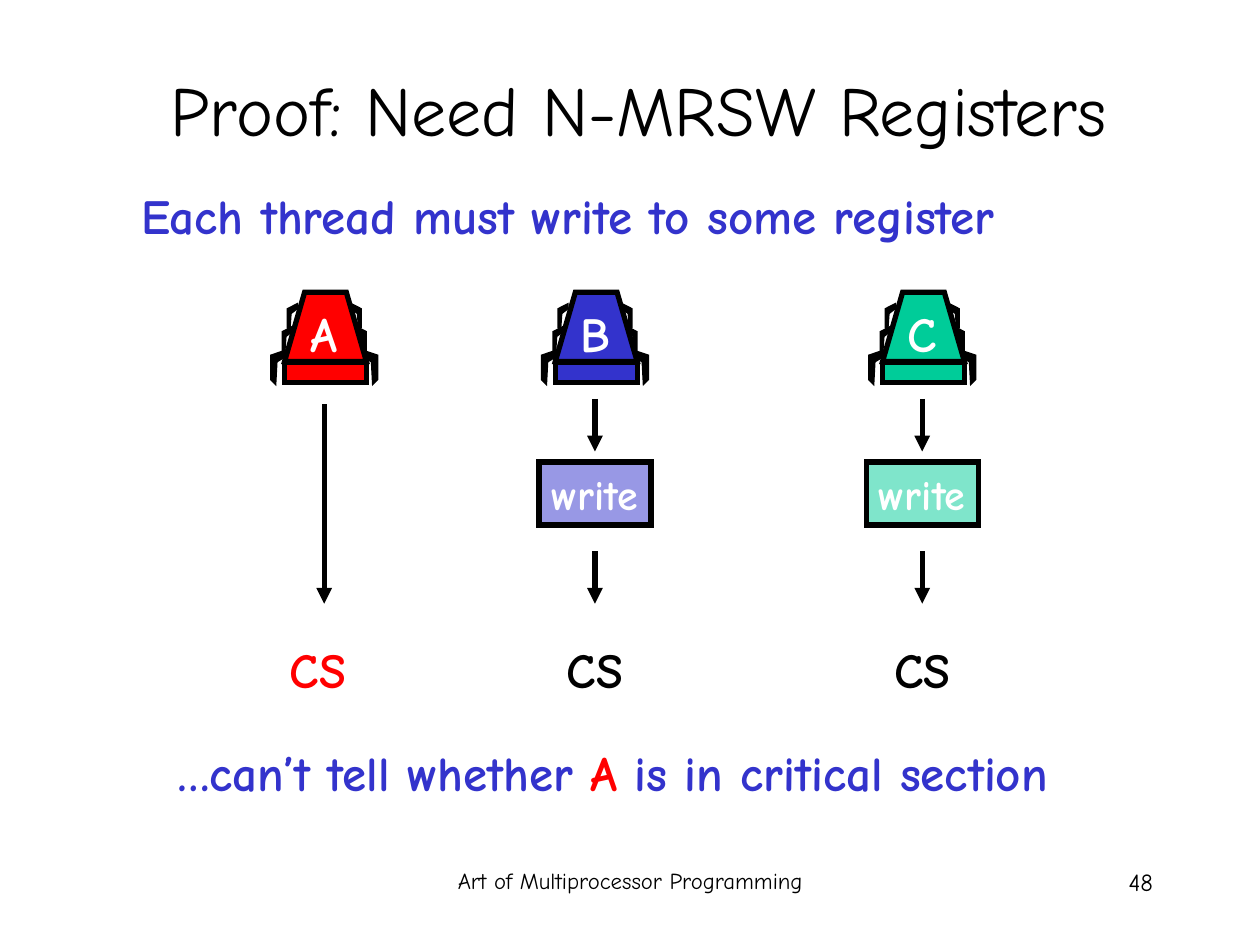
from lxml import etree
from pptx import Presentation
from pptx.dml.color import RGBColor
from pptx.enum.shapes import MSO_CONNECTOR, MSO_SHAPE
from pptx.enum.text import MSO_ANCHOR, MSO_AUTO_SIZE, PP_ALIGN
from pptx.oxml.ns import qn
from pptx.util import Pt

LEFT, CENTER, RIGHT = PP_ALIGN.LEFT, PP_ALIGN.CENTER, PP_ALIGN.RIGHT
TOP, MIDDLE = MSO_ANCHOR.TOP, MSO_ANCHOR.MIDDLE
GROW = MSO_AUTO_SIZE.SHAPE_TO_FIT_TEXT
STRAIGHT = MSO_CONNECTOR.STRAIGHT
RECTANGLE = MSO_SHAPE.RECTANGLE

FONT = "Comic Neue"
BLACK, WHITE = "000000", "FFFFFF"
RED, BLUE, GREEN = "FF0000", "3333CC", "00CC99"
TITLE_ONLY = 5

THREAD_TOP = 167
# Leg outlines run outward from their joint on the right-hand side.
UPPER_LEG = [(0, 0), (5.7, 2.9), (5.7, 13.7), (4.3, 15.8), (3.6, 5.7), (0, 2.9)]
LOWER_LEG = [(0, 0), (10.1, 3.4), (10.1, 17.3), (7.2, 20.2), (6.5, 7.2), (0.7, 3.6)]
LEGS = [(15.4, 6.5, UPPER_LEG), (18.3, 19.6, UPPER_LEG), (20.5, 32.6, LOWER_LEG)]
BODY = [(-22.7, 39.6), (-11.2, 0), (12.6, 0), (24.1, 39.6)]


def rgb(hex_color):
    return RGBColor.from_string(hex_color)


def paint(shape, fill, line_width):
    """Give the shape a solid fill and a black outline with sharp corners."""
    shape.shadow.inherit = False
    shape.fill.solid()
    shape.fill.fore_color.rgb = rgb(fill)
    shape.line.color.rgb = rgb(BLACK)
    shape.line.width = Pt(line_width)
    line = shape.line._get_or_add_ln()
    etree.SubElement(line, qn("a:miter")).set("lim", "800000")


def set_opacity(shape, percent):
    color = shape.fill._xPr.find(qn("a:solidFill"))[0]
    etree.SubElement(color, qn("a:alpha")).set("val", str(percent * 1000))


def write_text(frame, runs, size, align=CENTER, bold=True, wrap=True, anchor=TOP):
    """Fill the frame with one paragraph of (text, color) runs."""
    frame.word_wrap = wrap
    if not wrap:
        frame.auto_size = GROW
    frame.vertical_anchor = anchor
    paragraph = frame.paragraphs[0]
    paragraph.alignment = align
    for text, color in runs:
        run = paragraph.add_run()
        run.text = text
        run.font.name = FONT
        run.font.size = Pt(size)
        run.font.bold = bold
        run.font.color.rgb = rgb(color)


def add_label(slide, left, top, width, height, runs, size, **style):
    box = slide.shapes.add_textbox(Pt(left), Pt(top), Pt(width), Pt(height))
    write_text(box.text_frame, runs, size, **style)


def add_arrow_down(slide, x, top, bottom):
    arrow = slide.shapes.add_connector(STRAIGHT, Pt(x), Pt(top), Pt(x), Pt(bottom))
    arrow.line.color.rgb = rgb(BLACK)
    arrow.line.width = Pt(3)
    line = arrow.line._get_or_add_ln()
    etree.SubElement(line, qn("a:tailEnd")).set("type", "triangle")
    etree.SubElement(arrow._element.spPr, qn("a:effectLst"))


def add_polygon(group, points, fill, line_width):
    corners = [(Pt(x), Pt(y)) for x, y in points]
    builder = group.shapes.build_freeform(*corners[0])
    builder.add_line_segments(corners[1:], close=True)
    paint(builder.convert_to_shape(), fill, line_width)


def add_thread(slide, x, name, color):
    """Draw a six-legged thread, symmetric about x, with its name on the body."""
    group = slide.shapes.add_group_shape()
    for side in (-1, 1):
        for joint_x, joint_y, outline in LEGS:
            leg = [(x + side * (joint_x + dx), THREAD_TOP + joint_y + dy)
                   for dx, dy in outline]
            add_polygon(group, leg, BLACK, 0.75)
    add_polygon(group, [(x + dx, THREAD_TOP + dy) for dx, dy in BODY], color, 3)
    base = group.shapes.add_shape(
        RECTANGLE, Pt(x - 22.7), Pt(THREAD_TOP + 40.3), Pt(46.8), Pt(11.5))
    paint(base, color, 3)
    add_label(slide, x - 15.5, 170, 31, 41, [(name, WHITE)], 28, wrap=False)


def add_write_step(slide, x, color):
    step = slide.shapes.add_shape(RECTANGLE, Pt(x - 32), Pt(264), Pt(64), Pt(36))
    paint(step, color, 3)
    set_opacity(step, 50)
    write_text(step.text_frame, [("write", WHITE)], 24, wrap=False)


def add_critical_section(slide, x, color):
    add_label(slide, x - 25, 362, 50, 41, [("CS", color)], 28, wrap=False)


def add_title(slide, text):
    title = slide.shapes.title
    title.left, title.top, title.width, title.height = Pt(48), Pt(17), Pt(634), Pt(90)
    write_text(title.text_frame, [(text, BLACK)], 40, bold=False, anchor=MIDDLE)


def main():
    presentation = Presentation()
    presentation.slide_width, presentation.slide_height = Pt(720), Pt(540)
    slide = presentation.slides.add_slide(presentation.slide_layouts[TITLE_ONLY])

    add_title(slide, "Proof: Need N-MRSW Registers")
    add_label(slide, 73.5, 102.5, 583, 41,
              [("Each thread must write to some register", BLUE)], 28, align=LEFT)

    a_x, b_x, c_x = 185.3, 340, 527
    add_thread(slide, a_x, "A", RED)
    add_arrow_down(slide, a_x, 231, 345)
    add_critical_section(slide, a_x - 3.6, RED)

    for x, name, color in [(b_x, "B", BLUE), (c_x, "C", GREEN)]:
        add_thread(slide, x, name, color)
        add_arrow_down(slide, x, 228, 258)
        add_write_step(slide, x, color)
        add_arrow_down(slide, x, 315, 345)
        add_critical_section(slide, x, BLACK)

    add_label(slide, 66.5, 420.5, 577, 41,
              [("…can’t tell whether ", BLUE), ("A", RED),
               (" is in critical section ", BLUE)], 28)
    add_label(slide, 246, 492, 228, 36,
              [("Art of Multiprocessor Programming", BLACK)], 13, bold=False)
    add_label(slide, 516, 492, 150, 36, [("48", BLACK)], 14, align=RIGHT, bold=False)

    presentation.save("out.pptx")


if __name__ == "__main__":
    main()
